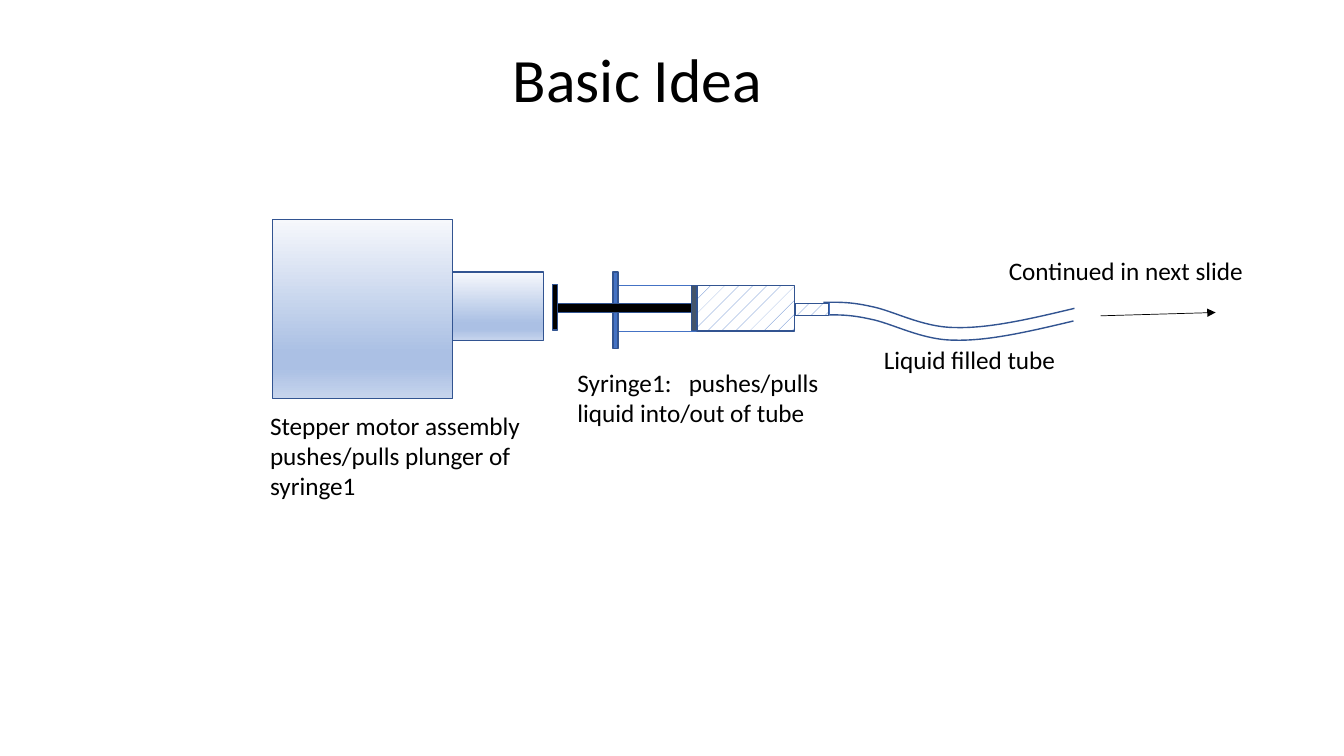
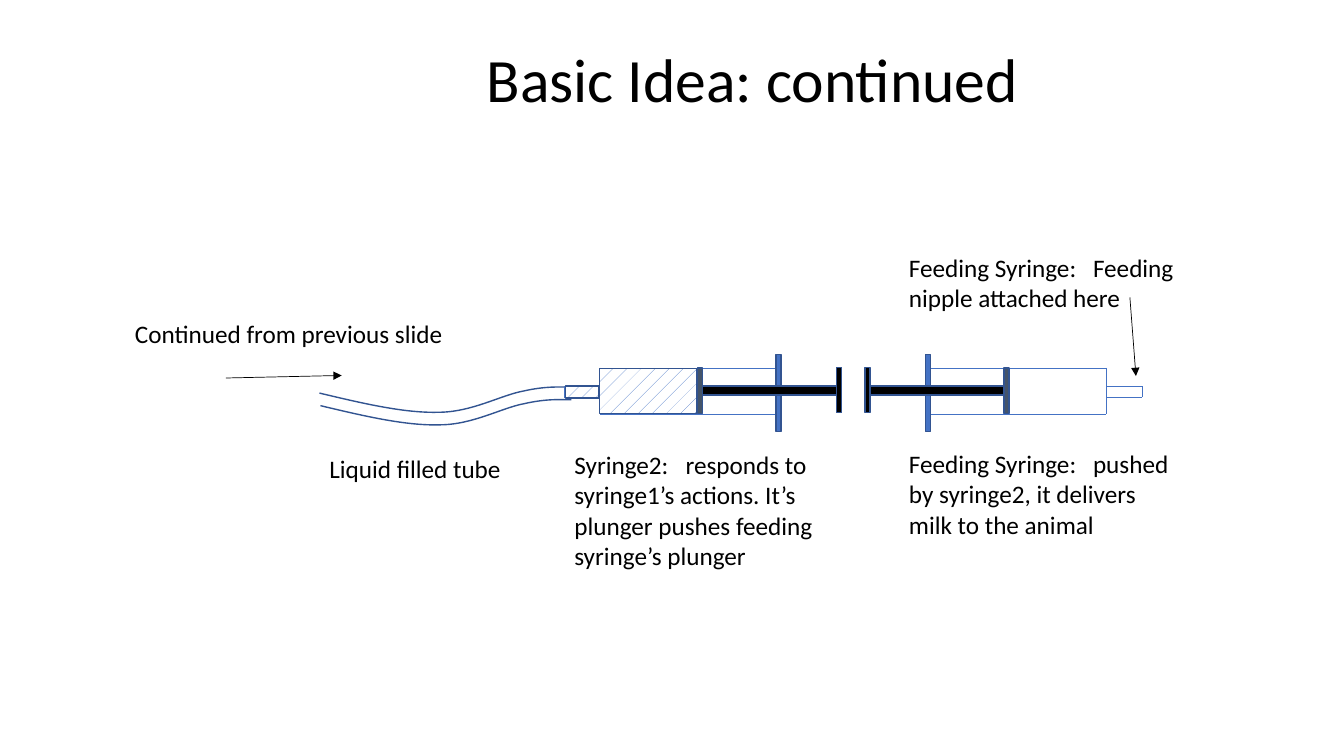
from pptx import Presentation
from pptx import util as u
from pptx.dml import color
from pptx.enum import dml, shapes, text
from pptx.oxml import ns
from lxml import etree

BLUE, EDGE, SLATE, BLACK, WHITE = "4472C4", "325491", "44546A", "000000", "FFFFFF"
METAL = [(0, "F6F8FC"), (74, "ABC0E4"), (83, "ABC0E4"), (100, "C7D5ED")]
TUBE_CURVE = [(0, 0), (8.6, 0), (18, -0.7), (33.8, 2.9), (49.7, 5.8),
              (70.6, 18), (94.3, 18), (118.8, 18.7), (149, 11.5), (179.3, 4.3)]
TUBE_GAP = 9
BARREL, BORE, NOZZLE_END, NOZZLE_TOP, NOZZLE_BASE = 125.5, 33, 151.2, 13, 21
BARREL_LINES = [
    (0, 0, BARREL, 0), (0, BORE, BARREL, BORE), (0, 0, 0, BORE), (BARREL, 0, BARREL, BORE),
    (BARREL, NOZZLE_TOP, NOZZLE_END, NOZZLE_TOP),
    (BARREL, NOZZLE_BASE, NOZZLE_END, NOZZLE_BASE),
    (NOZZLE_END, NOZZLE_TOP, NOZZLE_END, NOZZLE_BASE),
]
PLUNGER_PARTS = [
    (-3.6, -9.4, 3.6, 54.7, BLUE),
    (52.6, 0, 3.6, 32.4, SLATE),
    (-43.2, 13, 95.8, 6.5, BLACK),
    (-46.8, -0.4, 3.6, 32.4, BLACK),
]
LIQUID_PARTS = [(56.4, 0.3, 69.8, 32.4), (126.6, 13, 23.8, 8.6)]


def rgb(value):
    return color.RGBColor.from_string(value)


def apply(target, values):
    for name, value in values.items():
        setattr(target, name, value)


class Sketch:
    frame_format = {"word_wrap": True, "auto_size": text.MSO_AUTO_SIZE.SHAPE_TO_FIT_TEXT}
    label_font = {"name": "Calibri", "size": u.Pt(18)}
    title_font = {"name": "Calibri", "size": u.Pt(44)}

    def __init__(self):
        self.deck = Presentation()
        apply(self.deck, {"slide_width": u.Pt(960), "slide_height": u.Pt(540)})

    def new_slide(self):
        self.slide = self.deck.slides.add_slide(self.deck.slide_layouts[6])

    def outline(self, item, stroke, weight):
        item.line.color.rgb = rgb(stroke)
        item.line.width = u.Pt(weight)

    def label(self, words, left, top, width, height, font=None, tab=None):
        box = self.slide.shapes.add_textbox(*map(u.Pt, (left, top, width, height)))
        apply(box.text_frame, self.frame_format)
        paragraph = box.text_frame.paragraphs[0]
        run = paragraph.add_run()
        run.text = words
        apply(run.font, font or self.label_font)
        run.font.color.rgb = rgb(BLACK)
        if tab:
            stops = etree.SubElement(paragraph._p.get_or_add_pPr(), ns.qn("a:tabLst"))
            etree.SubElement(stops, ns.qn("a:tab"), pos=str(u.Pt(tab)), algn="l")

    def title(self, words, left, width):
        self.label(words, left, 26, width, 60.5, self.title_font)

    def block(self, home, left, top, width, height):
        part = home.add_shape(shapes.MSO_SHAPE.RECTANGLE,
                              *map(u.Pt, (left, top, width, height)))
        part.shadow.inherit = False
        self.outline(part, EDGE, 1)
        return part

    def line(self, home, x1, y1, x2, y2, stroke=BLUE):
        link = home.add_connector(shapes.MSO_CONNECTOR.STRAIGHT,
                                  *map(u.Pt, (x1, y1, x2, y2)))
        self.outline(link, stroke, 0.5)
        etree.SubElement(link._element.spPr, ns.qn("a:effectLst"))
        return link

    def arrow(self, x1, y1, x2, y2):
        link = self.line(self.slide.shapes, x1, y1, x2, y2, BLACK)
        etree.SubElement(link.line._get_or_add_ln(), ns.qn("a:tailEnd"), type="triangle")

    def metal(self, left, top, width, height):
        part = self.block(self.slide.shapes, left, top, width, height)
        part.fill.gradient()
        part.fill.gradient_angle = 270
        stops = part._element.xpath(".//a:gsLst")[0]
        for stop in list(stops):
            stops.remove(stop)
        for percent, tone in METAL:
            stop = etree.SubElement(stops, ns.qn("a:gs"), pos=str(percent * 1000))
            etree.SubElement(stop, ns.qn("a:srgbClr"), val=tone)

    def curve(self, home, points):
        spots = [(u.Pt(x), u.Pt(y)) for x, y in points]
        builder = home.build_freeform(*spots[0], scale=1.0)
        builder.add_line_segments(spots[1:], close=False)
        wall = builder.convert_to_shape()
        segments = wall._element.xpath(".//a:lnTo")
        for start in range(0, len(segments), 3):
            bend = etree.Element(ns.qn("a:cubicBezTo"))
            segments[start].addprevious(bend)
            for segment in segments[start:start + 3]:
                bend.append(segment[0])
                segment.getparent().remove(segment)
        wall.fill.background()
        wall.shadow.inherit = False
        self.outline(wall, EDGE, 1)

    def tube(self, left, top, facing=1):
        home = self.slide.shapes.add_group_shape().shapes
        for shift_x, shift_y in ((0, 0), (-0.7, TUBE_GAP)):
            self.curve(home, [(left + facing * (x + shift_x), top + y + shift_y)
                              for x, y in TUBE_CURVE])

    def syringe(self, left, top, facing=1, filled=True):
        home = self.slide.shapes.add_group_shape().shapes

        def part_at(x, y, width, height):
            start = x if facing > 0 else -x - width
            return self.block(home, left + start, top + y, width, height)

        for x1, y1, x2, y2 in BARREL_LINES:
            self.line(home, left + facing * x1, top + y1, left + facing * x2, top + y2)
        for *place, tone in PLUNGER_PARTS:
            part = part_at(*place)
            part.fill.solid()
            part.fill.fore_color.rgb = rgb(tone)
        for place in LIQUID_PARTS if filled else ():
            fill = part_at(*place).fill
            fill.patterned()
            fill.pattern = dml.MSO_PATTERN.PERCENT_5
            fill.fore_color.rgb = rgb(BLUE)
            fill.back_color.rgb = rgb(WHITE)


def main():
    sketch = Sketch()

    sketch.new_slide()
    sketch.title("Basic Idea", 359.3, 270.7)
    sketch.metal(194.6, 156.6, 128.7, 128.2)
    sketch.metal(323.3, 194.4, 64.8, 49)
    sketch.tube(588.2, 216)
    sketch.syringe(441.4, 203.8)
    sketch.label("Stepper motor assembly pushes/pulls plunger of syringe1",
                 185.8, 289.4, 208.8, 72.7)
    sketch.label("Syringe1:\tpushes/pulls liquid into/out of tube",
                 405.4, 258.5, 208.8, 51, tab=79.5)
    sketch.label("Liquid filled tube", 624.2, 242.6, 140, 29)
    sketch.label("Continued in next slide", 713.5, 178.6, 199.4, 29)
    sketch.arrow(786.2, 225.6, 868.3, 223.2)

    sketch.new_slide()
    sketch.title("Basic Idea: continued", 340.6, 403.2)
    sketch.tube(407.5, 276.5, facing=-1)
    sketch.syringe(554.4, 262.8, facing=-1)
    sketch.syringe(664.6, 262.8, filled=False)
    sketch.label("Liquid filled tube", 228.2, 320.4, 140, 29)
    sketch.label("Syringe2:\tresponds to syringe1’s actions. It’s plunger pushes "
                 "feeding syringe’s plunger", 403.2, 317.5, 208.8, 94.3, tab=79.5)
    sketch.label("Feeding Syringe:\tpushed by syringe2, it delivers milk to the animal",
                 642.2, 316.8, 208.8, 72.7, tab=131.5)
    sketch.label("Feeding Syringe:\tFeeding nipple attached here",
                 642.2, 176.4, 208.8, 51, tab=131.5)
    sketch.arrow(807.1, 212.4, 811.4, 268.6)
    sketch.label("Continued from previous slide", 89.3, 223.9, 236.9, 29)
    sketch.arrow(161.3, 270, 244.1, 268.2)

    sketch.deck.save("out.pptx")


if __name__ == "__main__":
    main()
